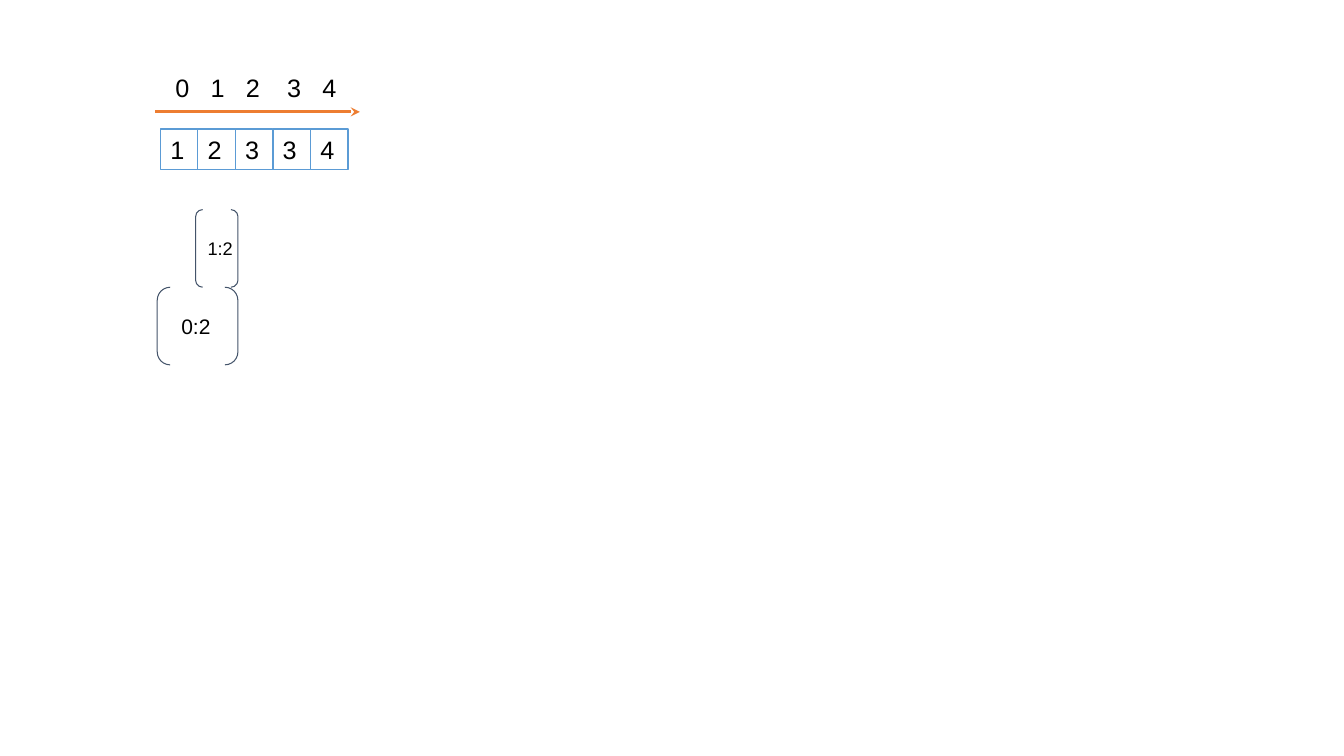
from lxml import etree
from pptx import Presentation
from pptx.dml.color import RGBColor
from pptx.enum.shapes import MSO_CONNECTOR, MSO_SHAPE
from pptx.enum.text import MSO_ANCHOR, PP_ALIGN
from pptx.oxml.ns import qn
from pptx.util import Inches, Pt

CELL_BLUE = "5B9BD5"
ARROW_ORANGE = "ED7D31"
BRACKET_SLATE = "44546A"


def color(hex_code):
    return RGBColor.from_string(hex_code)


def write(shape, text, size, inset_y=0.05):
    frame = shape.text_frame
    frame.word_wrap = True
    frame.vertical_anchor = MSO_ANCHOR.TOP
    frame.margin_left = frame.margin_right = Inches(0.1)
    frame.margin_top = frame.margin_bottom = Inches(inset_y)
    frame.text = text
    paragraph = frame.paragraphs[0]
    paragraph.alignment = PP_ALIGN.LEFT
    font = paragraph.runs[0].font
    font.name, font.size = "Arial", Pt(size)
    font.color.rgb = color("000000")
    return paragraph


def add_array(slide, left, top, width, height, values):
    """Draw the values as a row of equal, touching cells."""
    cell_width = width / len(values)
    for index, value in enumerate(values):
        cell = slide.shapes.add_shape(
            MSO_SHAPE.RECTANGLE, Inches(left + index * cell_width), Inches(top),
            Inches(cell_width), Inches(height))
        cell.shadow.inherit = False
        cell.fill.solid()
        cell.fill.fore_color.rgb = color("FFFFFF")
        cell.line.color.rgb = color(CELL_BLUE)
        cell.line.width = Pt(1)
        write(cell, value, 18)


def add_index_axis(slide, left, top, width, indices, stops):
    """Set the indices on tab stops above an arrow."""
    arrow_y = Inches(top + 0.44)
    arrow = slide.shapes.add_connector(
        MSO_CONNECTOR.STRAIGHT, Inches(left), arrow_y, Inches(left + width), arrow_y)
    arrow.line.color.rgb = color(ARROW_ORANGE)
    arrow.line.width = Pt(2.25)
    etree.SubElement(arrow.line._get_or_add_ln(), qn("a:tailEnd"), type="stealth")
    etree.SubElement(arrow._element.spPr, qn("a:effectLst"))

    labels = slide.shapes.add_textbox(
        Inches(left + 0.1), Inches(top), Inches(2.17), Inches(0.4))
    paragraph = write(labels, "\t".join(indices), 18)
    tab_list = etree.SubElement(paragraph._p.get_or_add_pPr(), qn("a:tabLst"))
    for stop in stops:
        etree.SubElement(tab_list, qn("a:tab"), pos=str(Inches(stop)), algn="l")


def add_range(slide, left, top, width, height, label, label_box, size):
    """Bracket a slice; label_box is offset x, offset y, width, height."""
    brackets = slide.shapes.add_shape(
        MSO_SHAPE.DOUBLE_BRACKET, Inches(left), Inches(top),
        Inches(width), Inches(height))
    brackets.shadow.inherit = False
    brackets.fill.background()
    brackets.line.color.rgb = color(BRACKET_SLATE)
    brackets.line.width = Pt(0.75)
    dx, dy, label_width, label_height = label_box
    caption = slide.shapes.add_textbox(
        Inches(left + dx), Inches(top + dy), Inches(label_width), Inches(label_height))
    write(caption, label, size, inset_y=0.1)


def main():
    deck = Presentation()
    deck.slide_width, deck.slide_height = Inches(13.33), Inches(7.5)
    slide = deck.slides.add_slide(deck.slide_layouts[6])
    add_array(slide, 1.59, 1.28, 1.86, 0.4, "12334")
    add_index_axis(slide, 1.54, 0.67, 2.03, "01234", (0.35, 0.7, 1.11, 1.46))
    add_range(slide, 1.56, 2.85, 0.8, 0.77, "0:2", (0.14, 0.16, 0.53, 0.45), 15)
    add_range(slide, 1.94, 2.08, 0.42, 0.77, "1:2", (0.02, 0.17, 0.48, 0.42), 13)
    deck.save("out.pptx")


if __name__ == "__main__":
    main()
